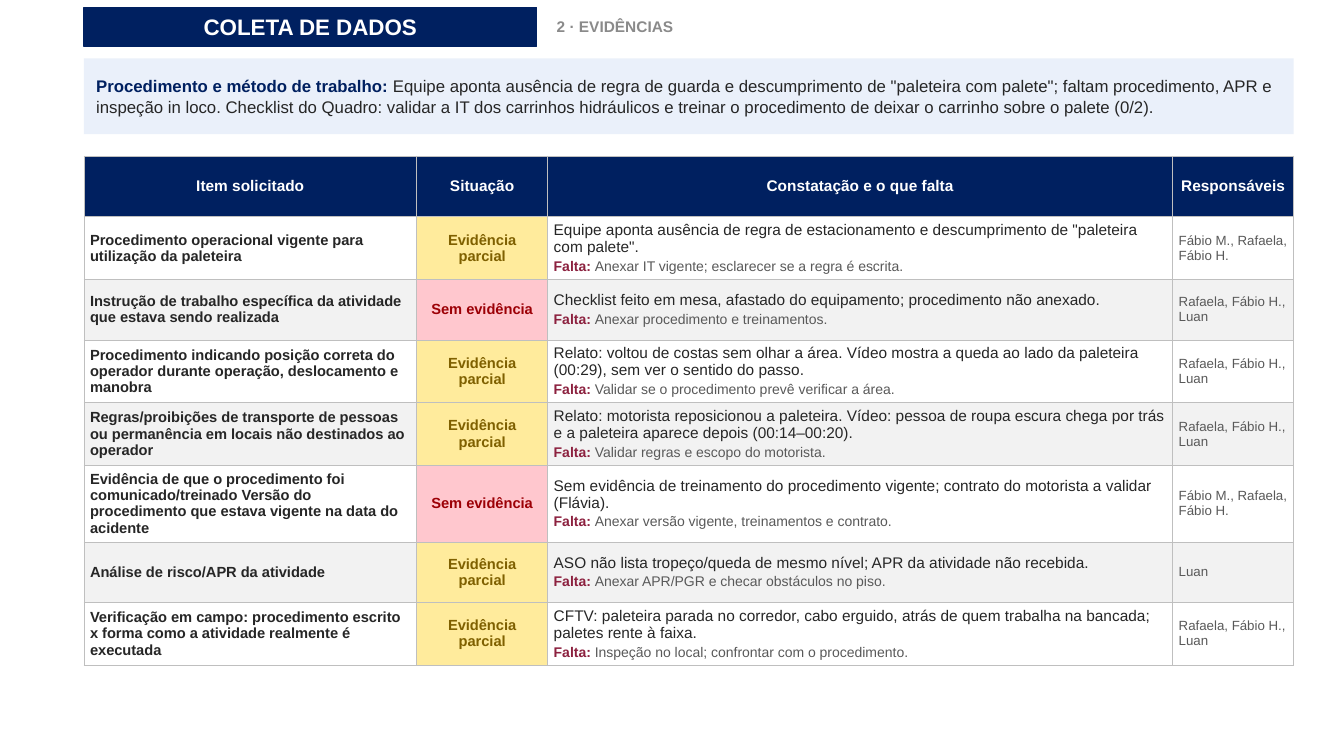
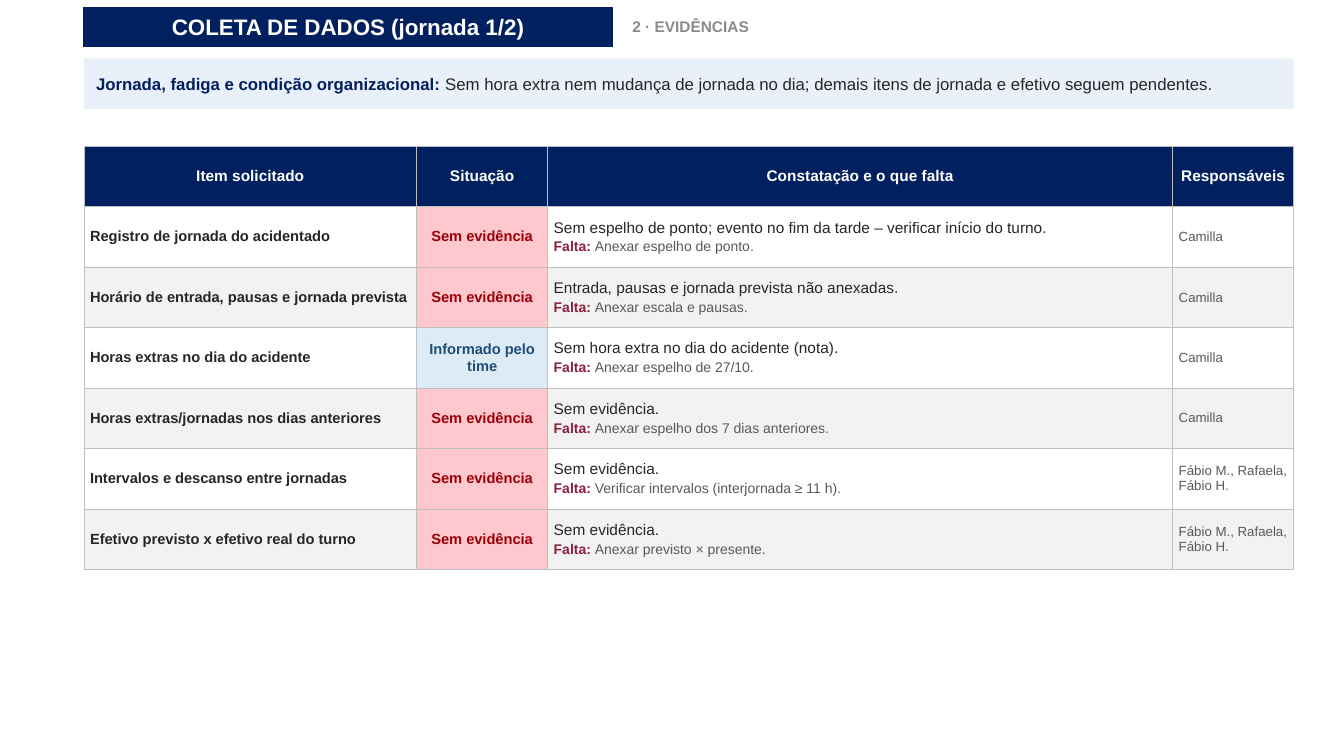
from lxml import etree
from pptx import Presentation
from pptx.dml.color import RGBColor
from pptx.enum.shapes import MSO_SHAPE
from pptx.enum.text import MSO_ANCHOR, MSO_AUTO_SIZE, PP_ALIGN
from pptx.oxml.ns import qn
from pptx.util import Inches, Pt

RECTANGLE = MSO_SHAPE.RECTANGLE
MIDDLE = MSO_ANCHOR.MIDDLE
FIT_SHAPE = MSO_AUTO_SIZE.SHAPE_TO_FIT_TEXT
LEFT, CENTER = PP_ALIGN.LEFT, PP_ALIGN.CENTER

FONT = "Arial"
NAVY, WHITE, INK, GRAY, MUTED = "002060", "FFFFFF", "262626", "595959", "8A8A8A"
PALE_BLUE, STRIPE, WINE, BORDER = "EAF0FA", "F2F2F2", "8C213F", "BFBFBF"

deck = Presentation()
deck.slide_width, deck.slide_height = Inches(13.333), Inches(7.5)
BLANK = deck.slide_layouts[6]

# Square grid: 75 rows in the page height
UNIT = deck.slide_height // 75
MARGIN = deck.slide_width // 16
CONTENT_WIDTH = 120 * UNIT
HEADER_TOP, HEADER_HEIGHT = int(0.7 * UNIT), int(3.9 * UNIT)
SUMMARY_TOP = int(5.8 * UNIT)
COLUMN_UNITS = [33, 13, 62, 12]
ROW_HEIGHT = 6 * UNIT

SECTION = "2 · EVIDÊNCIAS"
HEADINGS = ["Item solicitado", "Situação", "Constatação e o que falta", "Responsáveis"]
PARTIAL, MISSING, REPORTED = "Evidência parcial", "Sem evidência", "Informado pelo time"
STATUS_COLORS = {  # status: (text, fill)
    PARTIAL: ("7F6000", "FFEB9C"),
    MISSING: ("9C0006", "FFC7CE"),
    REPORTED: ("1F4E78", "DDEBF7"),
}
TEAM_A, TEAM_B = "Fábio M., Rafaela, Fábio H.", "Rafaela, Fábio H., Luan"

PAGES = [
    {
        "title": "COLETA DE DADOS", "title_units": 44.9,
        "topic": "Procedimento e método de trabalho: ",
        "summary": 'Equipe aponta ausência de regra de guarda e descumprimento de "paleteira com palete"; '
                   "faltam procedimento, APR e inspeção in loco. Checklist do Quadro: validar a IT dos "
                   "carrinhos hidráulicos e treinar o procedimento de deixar o carrinho sobre o palete (0/2).",
        "summary_units": 7.5, "table_units": 15.5,
        "items": [
            ("Procedimento operacional vigente para utilização da paleteira", PARTIAL,
             'Equipe aponta ausência de regra de estacionamento e descumprimento de "paleteira com palete".',
             "Anexar IT vigente; esclarecer se a regra é escrita.", TEAM_A),
            ("Instrução de trabalho específica da atividade que estava sendo realizada", MISSING,
             "Checklist feito em mesa, afastado do equipamento; procedimento não anexado.",
             "Anexar procedimento e treinamentos.", TEAM_B),
            ("Procedimento indicando posição correta do operador durante operação, deslocamento e manobra",
             PARTIAL,
             "Relato: voltou de costas sem olhar a área. Vídeo mostra a queda ao lado da paleteira "
             "(00:29), sem ver o sentido do passo.",
             "Validar se o procedimento prevê verificar a área.", TEAM_B),
            ("Regras/proibições de transporte de pessoas ou permanência em locais não destinados ao operador",
             PARTIAL,
             "Relato: motorista reposicionou a paleteira. Vídeo: pessoa de roupa escura chega por trás "
             "e a paleteira aparece depois (00:14–00:20).",
             "Validar regras e escopo do motorista.", TEAM_B),
            ("Evidência de que o procedimento foi comunicado/treinado Versão do procedimento que estava "
             "vigente na data do acidente", MISSING,
             "Sem evidência de treinamento do procedimento vigente; contrato do motorista a validar (Flávia).",
             "Anexar versão vigente, treinamentos e contrato.", TEAM_A),
            ("Análise de risco/APR da atividade", PARTIAL,
             "ASO não lista tropeço/queda de mesmo nível; APR da atividade não recebida.",
             "Anexar APR/PGR e checar obstáculos no piso.", "Luan"),
            ("Verificação em campo: procedimento escrito x forma como a atividade realmente é executada",
             PARTIAL,
             "CFTV: paleteira parada no corredor, cabo erguido, atrás de quem trabalha na bancada; "
             "paletes rente à faixa.",
             "Inspeção no local; confrontar com o procedimento.", TEAM_B),
        ],
    },
    {
        "title": "COLETA DE DADOS (jornada 1/2)", "title_units": 52.4,
        "topic": "Jornada, fadiga e condição organizacional: ",
        "summary": "Sem hora extra nem mudança de jornada no dia; demais itens de jornada e efetivo "
                   "seguem pendentes.",
        "summary_units": 5, "table_units": 14.5,
        "items": [
            ("Registro de jornada do acidentado", MISSING,
             "Sem espelho de ponto; evento no fim da tarde – verificar início do turno.",
             "Anexar espelho de ponto.", "Camilla"),
            ("Horário de entrada, pausas e jornada prevista", MISSING,
             "Entrada, pausas e jornada prevista não anexadas.", "Anexar escala e pausas.", "Camilla"),
            ("Horas extras no dia do acidente", REPORTED,
             "Sem hora extra no dia do acidente (nota).", "Anexar espelho de 27/10.", "Camilla"),
            ("Horas extras/jornadas nos dias anteriores", MISSING,
             "Sem evidência.", "Anexar espelho dos 7 dias anteriores.", "Camilla"),
            ("Intervalos e descanso entre jornadas", MISSING,
             "Sem evidência.", "Verificar intervalos (interjornada ≥ 11 h).", TEAM_A),
            ("Efetivo previsto x efetivo real do turno", MISSING,
             "Sem evidência.", "Anexar previsto × presente.", TEAM_A),
        ],
    },
]


def paint(fill, color):
    """Make the fill of a shape, line, cell or font solid in a hex colour."""
    fill.solid()
    fill.fore_color.rgb = RGBColor.from_string(color)


def write(frame, text, size, color, bold=False, align=LEFT, after=0, lead="", lead_color=NAVY):
    """Write one paragraph, after any earlier one, with an optional bold lead."""
    para = frame.paragraphs[-1]
    if para.runs:
        para = frame.add_paragraph()
    para.alignment = align
    para.space_after = Pt(after)
    for words, tone, heavy in [(lead, lead_color, True), (text, color, bold)]:
        if words:
            span = para.add_run()
            span.text = words
            span.font.name, span.font.size, span.font.bold = FONT, Pt(size), heavy
            paint(span.font.fill, tone)


for content in PAGES:
    page = deck.slides.add_slide(BLANK)
    paint(page.background.fill, WHITE)

    # Title, section label and summary
    title_width = int(content["title_units"] * UNIT)
    title = page.shapes.add_shape(RECTANGLE, MARGIN, HEADER_TOP, title_width, HEADER_HEIGHT)
    label = page.shapes.add_textbox(MARGIN + title_width + int(1.5 * UNIT), HEADER_TOP,
                                    30 * UNIT, HEADER_HEIGHT)
    summary = page.shapes.add_shape(RECTANGLE, MARGIN, SUMMARY_TOP, CONTENT_WIDTH,
                                    int(content["summary_units"] * UNIT))
    for box, left, right, edge in [(title, 0.08, 0.08, 0.05), (label, 0.05, 0.05, 0.03),
                                   (summary, 0.12, 0.08, 0.05)]:
        frame = box.text_frame
        frame.word_wrap = True
        frame.vertical_anchor = MIDDLE
        frame.margin_left, frame.margin_right = Inches(left), Inches(right)
        frame.margin_top = frame.margin_bottom = Inches(edge)
    for box, color in [(title, NAVY), (summary, PALE_BLUE)]:
        box.shadow.inherit = False
        paint(box.fill, color)
    paint(title.line.fill, NAVY)
    title.line.width = Pt(0.75)
    summary.line.fill.background()
    label.text_frame.auto_size = FIT_SHAPE

    write(title.text_frame, content["title"], 16, WHITE, bold=True, align=CENTER, after=2)
    write(label.text_frame, SECTION, 11, MUTED, bold=True, after=4)
    write(summary.text_frame, content["summary"], 12, INK, after=2, lead=content["topic"])

    # Evidence table
    row_count = len(content["items"]) + 1
    table = page.shapes.add_table(row_count, len(HEADINGS), MARGIN, int(content["table_units"] * UNIT),
                                  CONTENT_WIDTH, row_count * ROW_HEIGHT).table
    table.first_row = table.horz_banding = False
    for column, units in zip(table.columns, COLUMN_UNITS):
        column.width = units * UNIT
    for row in table.rows:
        row.height = ROW_HEIGHT

    for cell in table.iter_cells():
        cell.vertical_anchor = MIDDLE
        cell.margin_left = cell.margin_right = Inches(0.06)
        cell.margin_top = cell.margin_bottom = Inches(0.03)
        properties = cell._tc.get_or_add_tcPr()
        for side in ("a:lnL", "a:lnR", "a:lnT", "a:lnB"):
            line = etree.SubElement(properties, qn(side), w=str(Pt(0.5)))
            solid = etree.SubElement(line, qn("a:solidFill"))
            etree.SubElement(solid, qn("a:srgbClr"), val=BORDER)

    for column, heading in enumerate(HEADINGS):
        cell = table.cell(0, column)
        paint(cell.fill, NAVY)
        write(cell.text_frame, heading, 11, WHITE, bold=True, align=CENTER)

    for row, (item, status, finding, gap, owners) in enumerate(content["items"], start=1):
        cells = [table.cell(row, column) for column in range(len(HEADINGS))]
        status_text, status_fill = STATUS_COLORS[status]
        stripe = WHITE if row % 2 else STRIPE
        for cell, color in zip(cells, [stripe, status_fill, stripe, stripe]):
            paint(cell.fill, color)
        item_frame, status_frame, finding_frame, owners_frame = [cell.text_frame for cell in cells]
        write(item_frame, item, 10.5, INK, bold=True)
        write(status_frame, status, 10.5, status_text, bold=True, align=CENTER)
        write(finding_frame, finding, 11, INK, after=2)
        write(finding_frame, gap, 10, GRAY, after=2, lead="Falta: ", lead_color=WINE)
        write(owners_frame, owners, 9.5, GRAY)

deck.save("out.pptx")
